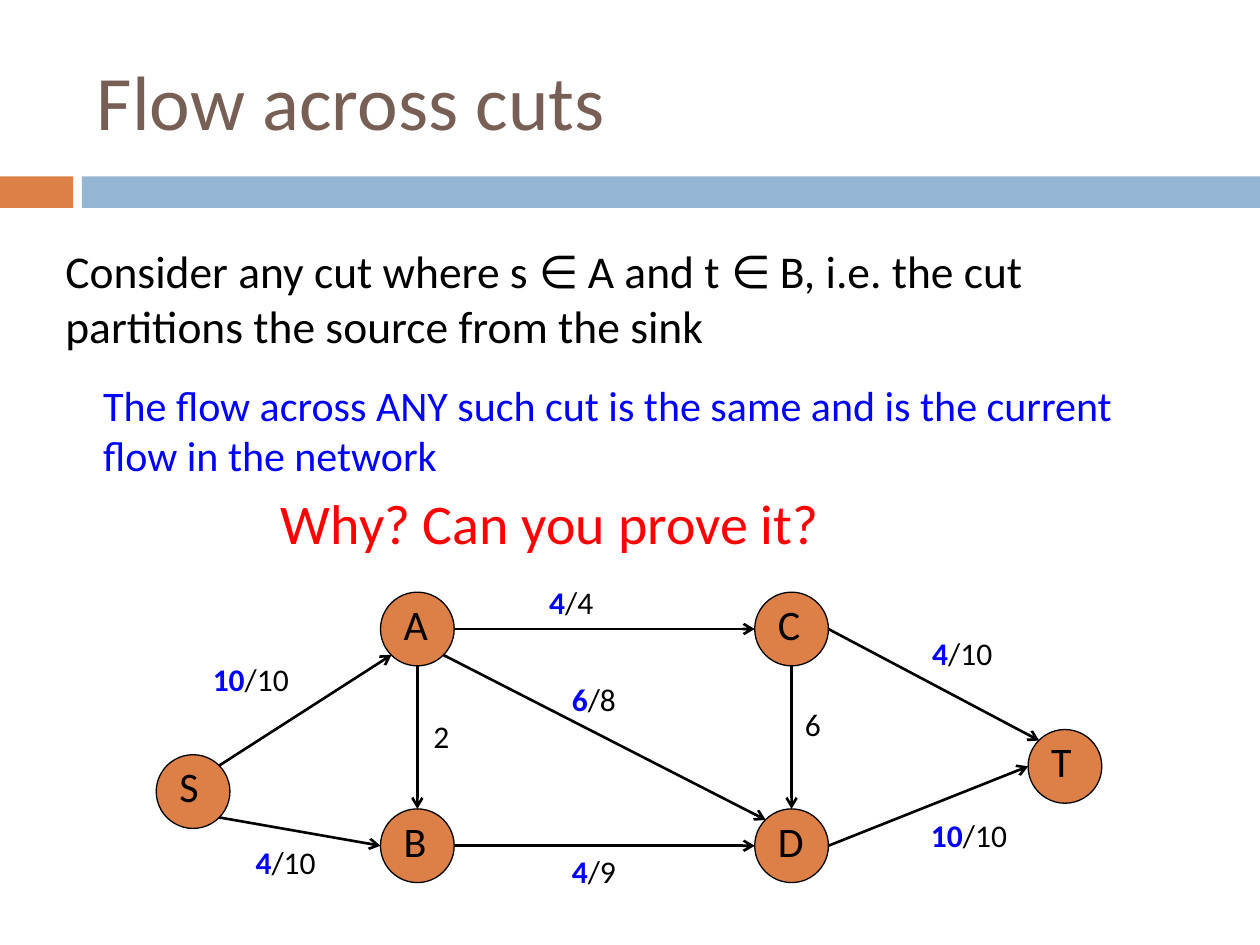
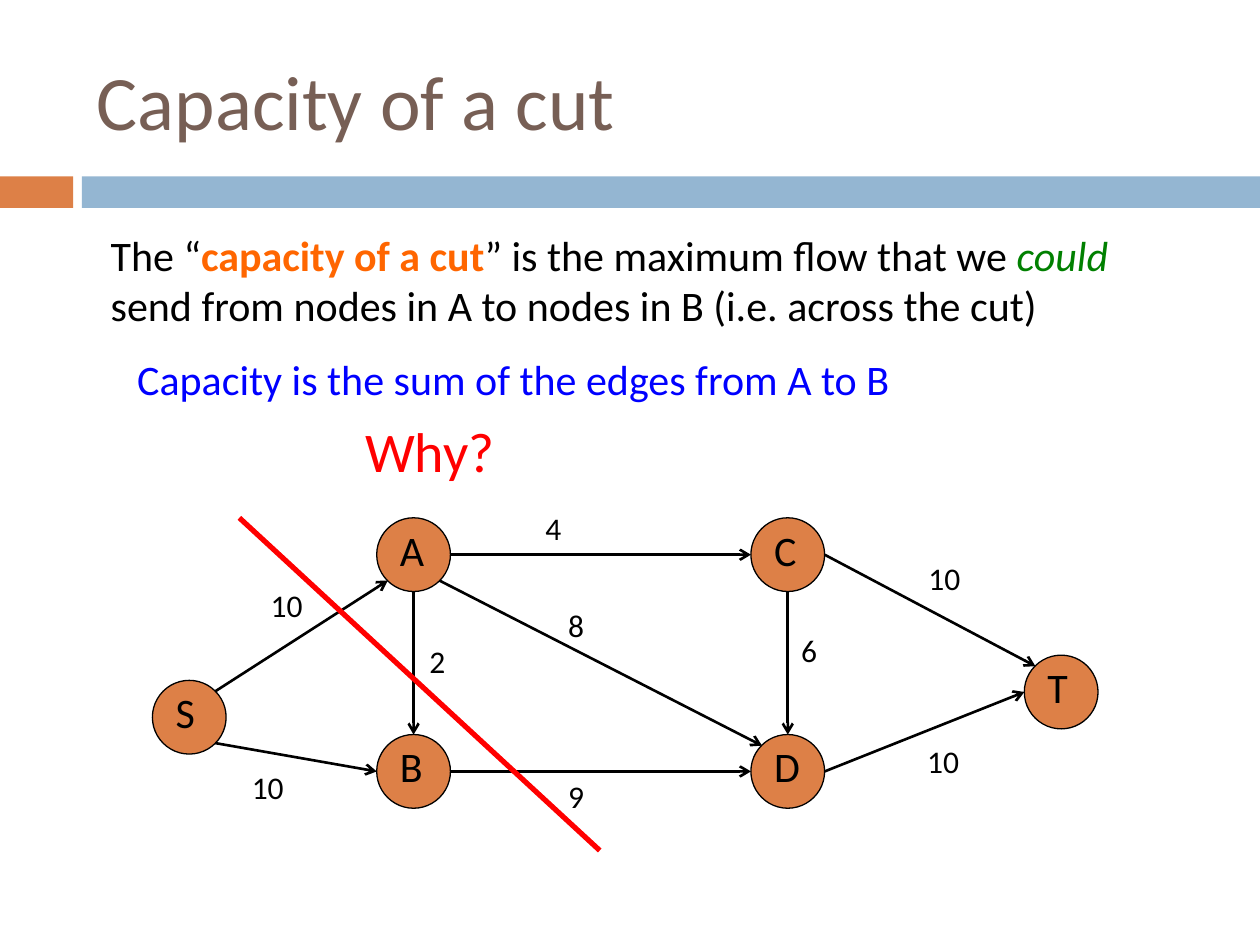
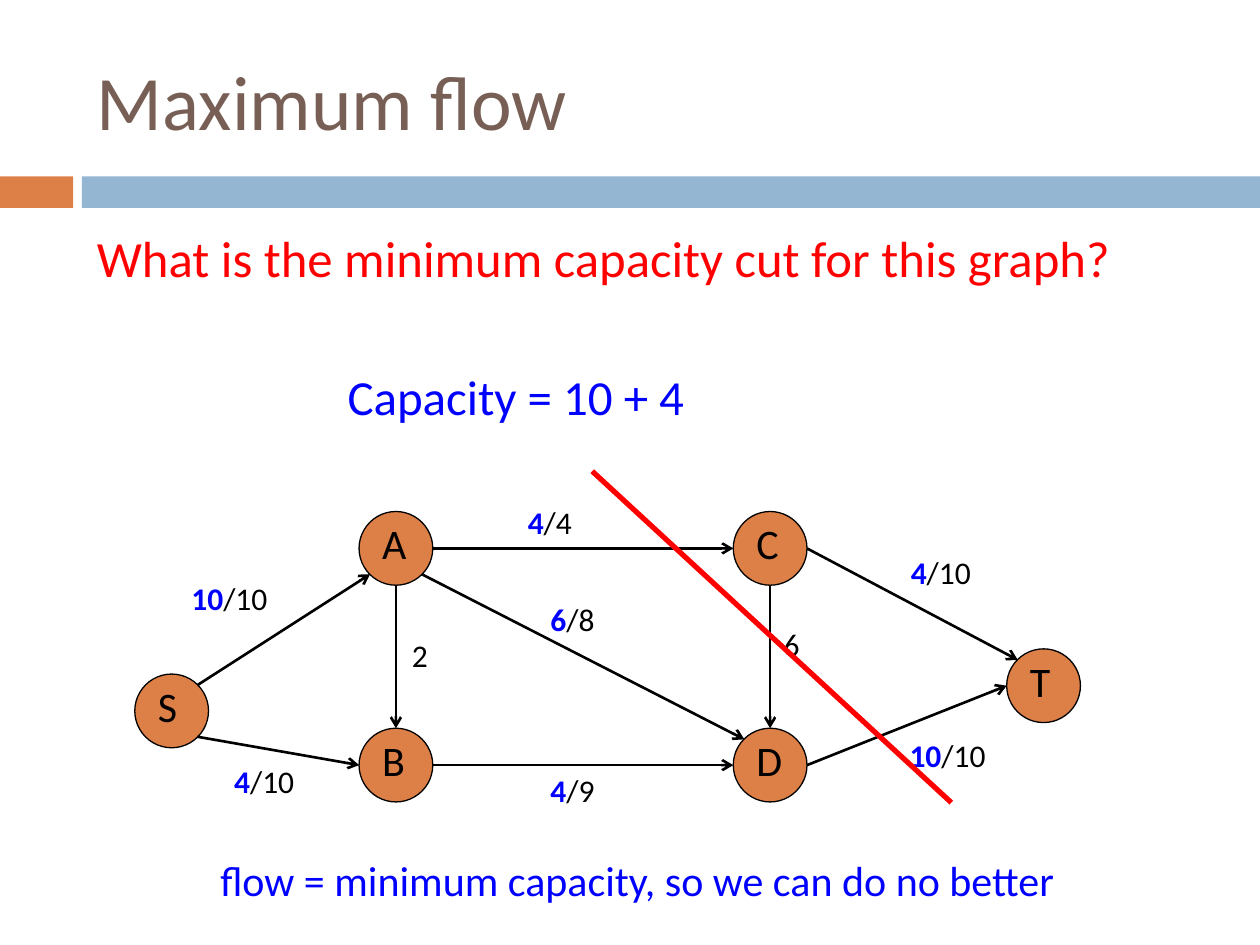
from dataclasses import dataclass

from lxml import etree
from pptx import Presentation
from pptx.dml.color import RGBColor
from pptx.enum.shapes import MSO_CONNECTOR, MSO_SHAPE
from pptx.enum.text import MSO_ANCHOR
from pptx.oxml.ns import qn
from pptx.util import Inches, Pt

LINE, OVAL, RECT = MSO_CONNECTOR.STRAIGHT, MSO_SHAPE.OVAL, MSO_SHAPE.RECTANGLE
TOP, MID = MSO_ANCHOR.TOP, MSO_ANCHOR.MIDDLE


@dataclass(frozen=True)
class Theme:
    font: str = "Calibri"
    title: str = "775F55"
    accent: str = "DD8047"
    band: str = "94B6D2"
    ink: str = "000000"
    blue: str = "0000FF"
    red: str = "FF0000"
    orange: str = "FF6600"
    green: str = "008000"
    head: int = 44
    ask: int = 32
    query: int = 29
    sum: int = 28
    lead: int = 26
    body: int = 24
    label: int = 18


T = Theme()
deck = Presentation()
deck.slide_width, deck.slide_height = Inches(10), Inches(7.5)

# The slide is a grid of 100 columns by 75 rows
COL, ROW = deck.slide_width / 100, deck.slide_height / 75


def put_text(shapes, box, size, parts, anchor=TOP):
    """Add a text box; each part is (text, colour, style)."""
    x, y, w, h = box
    frame = shapes.add_textbox(int(x * COL), int(y * ROW), int(w * COL), int(h * ROW)).text_frame
    frame.word_wrap = True
    frame.vertical_anchor = anchor
    for words, color, style in parts:
        run = frame.paragraphs[0].add_run()
        run.text = words
        run.font.name, run.font.size = T.font, Pt(size)
        run.font.color.rgb = RGBColor.from_string(color)
        run.font.bold, run.font.italic = style == "bold", style == "italic"


def put_line(shapes, start, end, color, width, arrow=False):
    """Add a straight line between two grid points."""
    (x1, y1), (x2, y2) = start, end
    line = shapes.add_connector(LINE, int(x1 * COL), int(y1 * ROW), int(x2 * COL), int(y2 * ROW))
    line.line.color.rgb = RGBColor.from_string(color)
    line.line.width = Pt(width)
    props = line.element.spPr
    if arrow:
        etree.SubElement(props.find(qn("a:ln")), qn("a:tailEnd"), type="arrow")
    etree.SubElement(props, qn("a:effectLst"))


# Bands under the title: left, width, colour
BANDS = [(0, 5.8, T.accent), (6.5, 93.5, T.band)]

# Graph nodes, measured from the left of S and the top of A
SIZE = 5.85
NODES = {"S": (0, 12.9), "A": (17.8, 0), "B": (17.8, 17.2),
         "T": (69.2, 10.9), "C": (47.5, 0), "D": (47.5, 17.2)}

# Points on a node's rim, as shares of its size
RIM = {"n": (0.5, 0), "s": (0.5, 1), "w": (0, 0.5), "e": (1, 0.5),
       "nw": (0.15, 0.15), "ne": (0.85, 0.15), "sw": (0.15, 0.85), "se": (0.85, 0.85)}

# Edges: start, rim, end, rim, flow, capacity, label place, shift without flow
EDGES = [
    ("S", "ne", "A", "sw", "10", "10", (3.5, 4.9), 4.9),
    ("S", "se", "B", "w", "4", "10", (6.9, 19.4), 0),
    ("B", "e", "D", "w", "4", "9", (32, 20.1), 0),
    ("A", "s", "B", "n", "", "2", (21, 9.4), 0),
    ("A", "e", "C", "w", "4", "4", (30.2, -1.2), 0),
    ("C", "s", "D", "n", "", "6", (50.5, 8.5), 0),
    ("A", "se", "D", "nw", "6", "8", (32, 6.5), 0),
    ("C", "e", "T", "nw", "4", "10", (60.6, 2.8), 0),
    ("D", "e", "T", "w", "10", "10", (60.5, 17.3), 0),
]

# Slides: title, graph corner, flow shown, cut line, texts as (box, size, parts)
SLIDES = [
    ("Flow across cuts", (12.4, 47), True, None, [
        ((4.2, 18.8, 90.8, 10.9), T.lead,
         [("Consider any cut where s ∈ A and t ∈ B, i.e. the cut "
           "partitions the source from the sink", T.ink, "")]),
        ((7.2, 29.6, 85.2, 9.1), T.body,
         [("The flow across ANY such cut is the same and is the current "
           "flow in the network", T.blue, "")]),
        ((21.3, 38.3, 46.2, 6.4), T.ask, [("Why? Can you prove it?", T.red, "")]),
    ]),
    ("Capacity of a cut", (12.1, 41.1), False, ((47.6, 67.5), (19, 41.1)), [
        ((7.8, 17.7, 83.7, 9.1), T.body,
         [("The “", T.ink, ""), ("capacity of a cut", T.orange, "bold"),
          ("” is the maximum flow that we ", T.ink, ""), ("could", T.green, "italic"),
          (" send from nodes in A to nodes in B (i.e. across the cut)", T.ink, "")]),
        ((9.9, 27.6, 82.4, 5), T.body,
         [("Capacity is the sum of the edges from A to B", T.blue, "")]),
        ((28, 32.6, 24.3, 6.4), T.ask, [("Why?", T.red, "")]),
    ]),
    ("Maximum flow", (10.7, 40.6), True, ((75.5, 63.7), (47, 37.4)), [
        ((6.7, 17.5, 89.2, 7), T.query,
         [("What is the minimum capacity cut for this graph?", T.red, "")]),
        ((26.6, 28.6, 47.1, 5.7), T.sum, [("Capacity = 10 + 4", T.blue, "")]),
        ((16.5, 67.3, 75.6, 5), T.body,
         [("flow = minimum capacity, so we can do no better", T.blue, "")]),
    ]),
]

for title, (left, top), flows, cut, texts in SLIDES:
    shapes = deck.slides.add_slide(deck.slide_layouts[6]).shapes

    # Bands and title
    for x, width, color in BANDS:
        band = shapes.add_shape(RECT, int(x * COL), int(14 * ROW), int(width * COL), int(2.5 * ROW))
        band.shadow.inherit = False
        band.fill.solid()
        band.fill.fore_color.rgb = RGBColor.from_string(color)
        band.line.fill.background()
    put_text(shapes, (6.7, 2.5, 89.2, 10.8), T.head, [(title, T.title, "")], MID)

    # Nodes, each a disc grouped with its letter
    for name, (x, y) in NODES.items():
        node = shapes.add_group_shape().shapes
        disc = node.add_shape(OVAL, int((left + x) * COL), int((top + y) * ROW),
                              int(SIZE * COL), int(SIZE * ROW))
        disc.shadow.inherit = False
        disc.fill.solid()
        disc.fill.fore_color.rgb = RGBColor.from_string(T.accent)
        disc.line.color.rgb = RGBColor.from_string(T.ink)
        disc.line.width = Pt(0.75)
        put_text(node, (left + x + 0.85, top + y, 5, 5), T.body, [(name, T.ink, "")])

    # Edges and their labels
    for tail, out, head, into, flow, cap, (x, y), shift in EDGES:
        ends = [(left + NODES[n][0] + RIM[r][0] * SIZE, top + NODES[n][1] + RIM[r][1] * SIZE)
                for n, r in ((tail, out), (head, into))]
        put_line(shapes, *ends, T.ink, 1.5, arrow=True)
        if flows and flow:
            parts = [(flow, T.blue, "bold"), ("/" + cap, T.ink, "")]
        else:
            parts = [(cap, T.ink, "")]
        step = 0 if flows else shift
        put_text(shapes, (left + x + step, top + y, 9.5, 4), T.label, parts)

    # Cut line and slide text
    if cut:
        put_line(shapes, *cut, T.red, 3)
    for box, size, parts in texts:
        put_text(shapes, box, size, parts)

deck.save("out.pptx")
